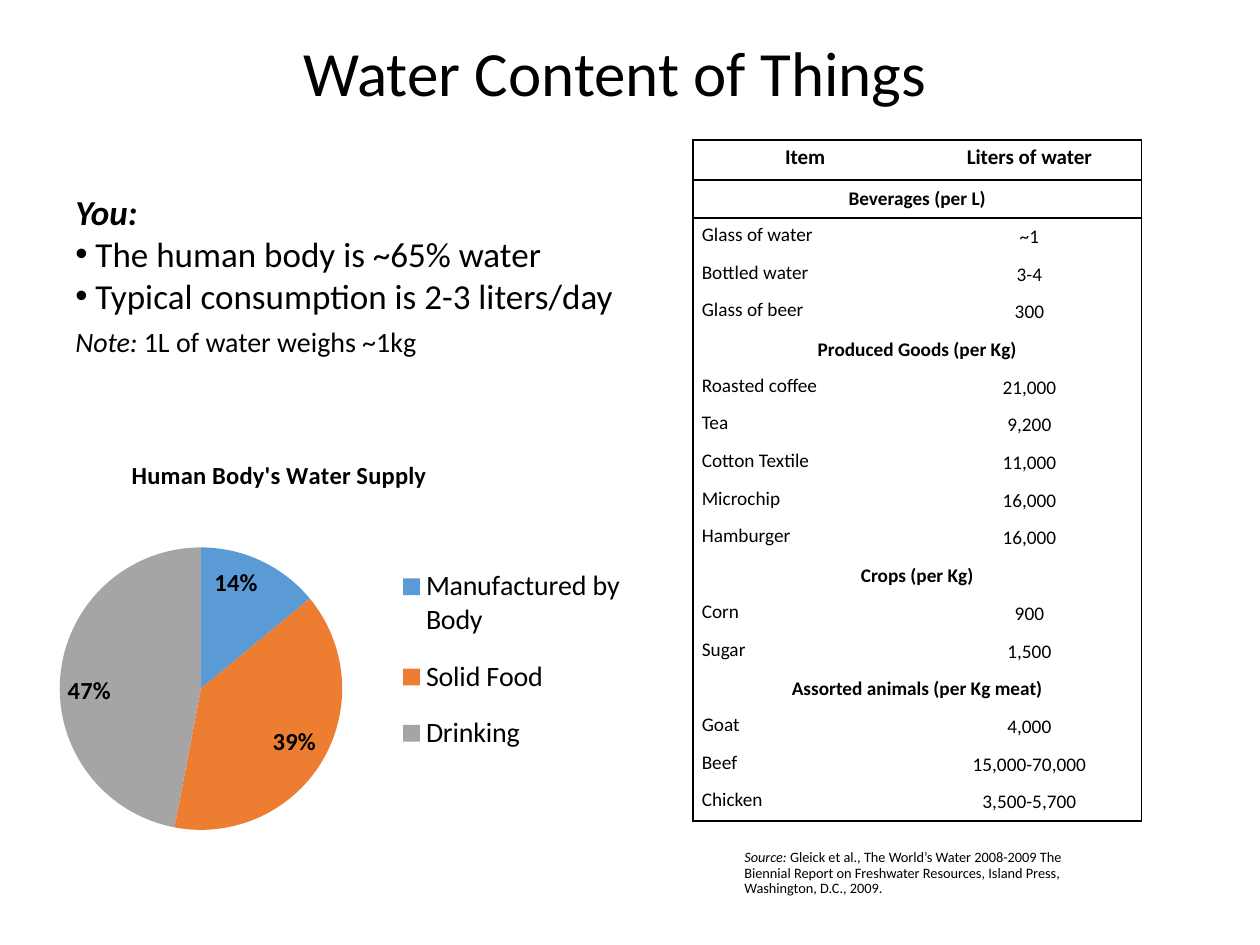
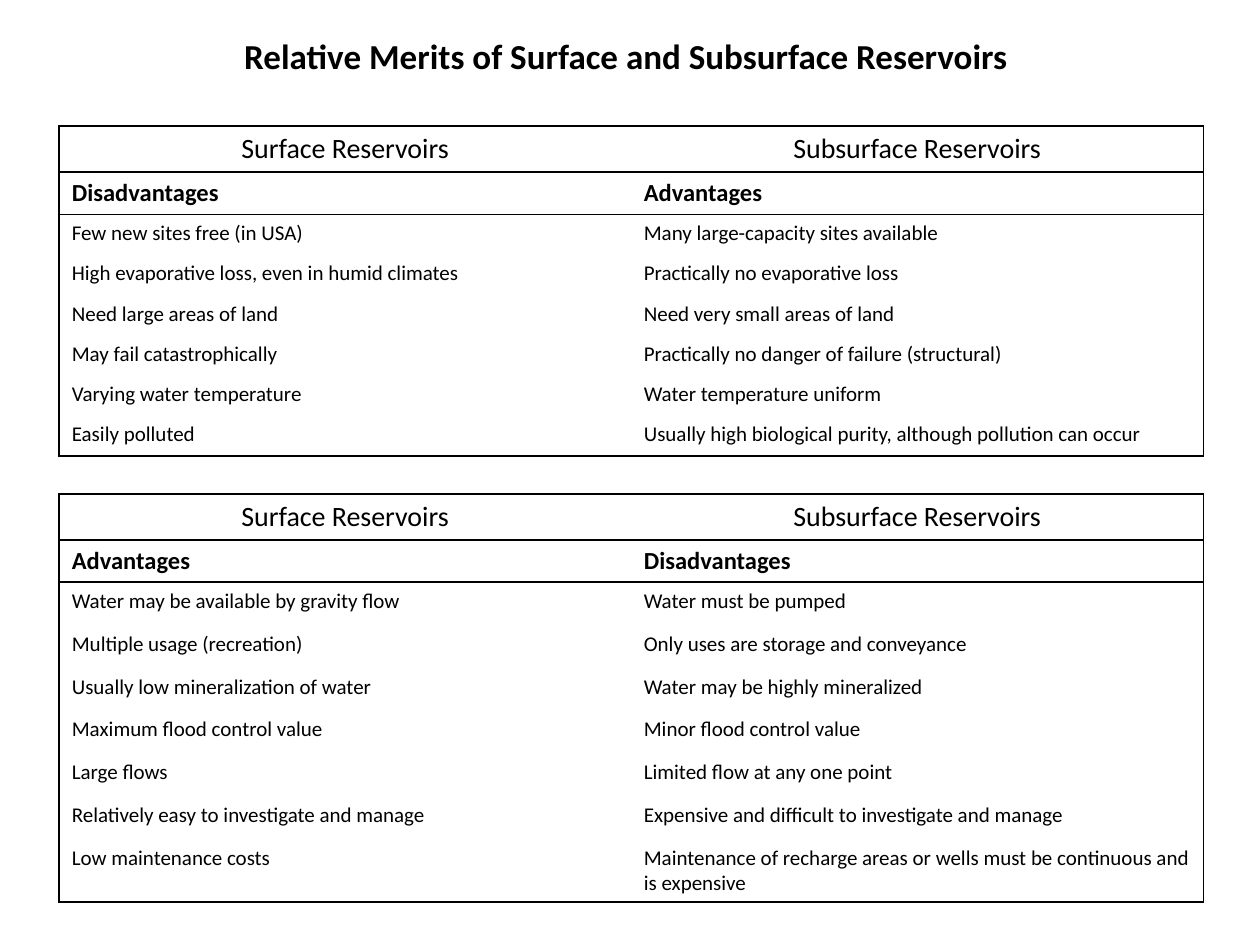
from lxml import etree
from pptx import Presentation
from pptx.chart.data import CategoryChartData
from pptx.dml.color import RGBColor
from pptx.enum.chart import XL_CHART_TYPE as ChartType
from pptx.enum.chart import XL_LABEL_POSITION as LabelPos
from pptx.enum.chart import XL_LEGEND_POSITION as LegendPos
from pptx.enum.text import MSO_ANCHOR as Anchor
from pptx.enum.text import PP_ALIGN as Align
from pptx.oxml.ns import qn
from pptx.util import Inches, Pt

FONT, INK = "Calibri", "000000"
SLICES = ("5B9BD5", "ED7D31", "A5A5A5")
TIGHT = (0.07, 0.04)   # horizontal and vertical text inset
NORMAL = (0.1, 0.05)

# Cell looks: size, bold, alignment, anchor
ITEM_HEAD = (12, True, Align.CENTER, Anchor.TOP)
SECTION = (11, True, Align.CENTER, Anchor.MIDDLE)
ITEM = (11, False, Align.LEFT, Anchor.TOP)
AMOUNT = (11, False, Align.CENTER, Anchor.MIDDLE)
KIND = (16, False, Align.CENTER, Anchor.MIDDLE)
VERDICT = (14, True, Align.LEFT, Anchor.TOP)
MERIT = (12, False, Align.LEFT, Anchor.TOP)

WATER_USE = [
    ("Beverages (per L)",),
    ("Glass of water", "~1"), ("Bottled water", "3-4"), ("Glass of beer", "300"),
    ("Produced Goods (per Kg)",),
    ("Roasted coffee", "21,000"), ("Tea", "9,200"), ("Cotton Textile", "11,000"),
    ("Microchip", "16,000"), ("Hamburger", "16,000"),
    ("Crops (per Kg)",),
    ("Corn", "900"), ("Sugar", "1,500"),
    ("Assorted animals (per Kg meat)",),
    ("Goat", "4,000"), ("Beef", "15,000-70,000"), ("Chicken", "3,500-5,700"),
]
SURFACE_WEAK = [
    ("Disadvantages", "Advantages"),
    ("Few new sites free (in USA)", "Many large-capacity sites available"),
    ("High evaporative loss, even in humid climates", "Practically no evaporative loss"),
    ("Need large areas of land", "Need very small areas of land"),
    ("May fail catastrophically", "Practically no danger of failure (structural)"),
    ("Varying water temperature", "Water temperature uniform"),
    ("Easily polluted", "Usually high biological purity, although pollution can occur"),
]
SURFACE_STRONG = [
    ("Advantages", "Disadvantages"),
    ("Water may be available by gravity flow", "Water must be pumped"),
    ("Multiple usage (recreation)", "Only uses are storage and conveyance"),
    ("Usually low mineralization of water", "Water may be highly mineralized"),
    ("Maximum flood control value", "Minor flood control value"),
    ("Large flows", "Limited flow at any one point"),
    ("Relatively easy to investigate and manage",
     "Expensive and difficult to investigate and manage"),
    ("Low maintenance costs",
     "Maintenance of recharge areas or wells must be continuous and is expensive"),
]


def rgb(color):
    return RGBColor.from_string(color)


def set_font(font, size, bold=False, italic=False):
    font.name, font.size, font.bold, font.italic = FONT, Pt(size), bold, italic
    font.color.rgb = rgb(INK)


def set_borders(cell, visible):
    """Draw the edges named in visible and clear the others."""
    properties = cell._tc.get_or_add_tcPr()
    for index, edge in enumerate("LRTB"):
        line = etree.Element(qn("a:ln" + edge), w=str(Pt(1)))
        if edge in visible:
            fill = etree.SubElement(line, qn("a:solidFill"))
            etree.SubElement(fill, qn("a:srgbClr"), val=INK)
        else:
            etree.SubElement(line, qn("a:noFill"))
        properties.insert(index, line)


def place(element, index, **fractions):
    """Give a chart part a fixed place, in fractions of the chart."""
    for old in element.findall(qn("c:layout")):
        element.remove(old)
    layout = etree.Element(qn("c:layout"))
    manual = etree.SubElement(layout, qn("c:manualLayout"))
    if "plotArea" in element.tag:
        etree.SubElement(manual, qn("c:layoutTarget"), val="inner")
    for axis in "xy":
        etree.SubElement(manual, qn(f"c:{axis}Mode"), val="edge")
    for side, value in fractions.items():
        etree.SubElement(manual, qn("c:" + side), val=str(value))
    element.insert(index, layout)


class Deck:
    def __init__(self):
        self.prs = Presentation()
        self.prs.slide_width, self.prs.slide_height = Inches(10), Inches(7.5)
        self.slide = None

    def new_slide(self):
        self.slide = self.prs.slides.add_slide(self.prs.slide_layouts[6])

    def text(self, at, paragraphs, size, align=Align.LEFT, anchor=Anchor.TOP,
             inset=NORMAL, spacing=1.0):
        """Each paragraph is (bulleted, [(text, bold, italic), ...])."""
        frame = self.slide.shapes.add_textbox(*map(Inches, at)).text_frame
        frame.word_wrap = True
        frame.vertical_anchor = anchor
        frame.margin_left = frame.margin_right = Inches(inset[0])
        frame.margin_top = frame.margin_bottom = Inches(inset[1])
        for index, (bulleted, runs) in enumerate(paragraphs):
            paragraph = frame.add_paragraph() if index else frame.paragraphs[0]
            paragraph.alignment, paragraph.line_spacing = align, spacing
            if bulleted:
                properties = paragraph._p.get_or_add_pPr()
                properties.set("marL", str(Inches(0.16)))
                properties.set("indent", str(-Inches(0.16)))
                etree.SubElement(properties, qn("a:buFont"), typeface="Arial")
                etree.SubElement(properties, qn("a:buChar"), char="•")
            for words, bold, italic in runs:
                run = paragraph.add_run()
                run.text = words
                set_font(run.font, size, bold, italic)

    def table(self, left, top, column, heights, rows, looks, inset=NORMAL):
        """Two-column table with a frame and a rule under its first two rows."""
        table = self.slide.shapes.add_table(
            len(rows), 2, Inches(left), Inches(top),
            Inches(2 * column), Inches(sum(heights))).table
        table.first_row = table.horz_banding = False
        for r, (texts, height) in enumerate(zip(rows, heights)):
            table.rows[r].height = Inches(height)
            rules = ("T" if r < 3 else "") + ("B" if r < 2 or r == len(rows) - 1 else "")
            for c in range(2):
                cell = table.cell(r, c)
                cell.margin_left = cell.margin_right = Inches(inset[0])
                cell.margin_top = cell.margin_bottom = Inches(inset[1])
                cell.fill.background()
                spanning = len(texts) == 1
                set_borders(cell, rules + ("LR" if spanning else "LR"[c]))
                if c < len(texts):
                    self.fill_cell(cell, texts[c], looks(r, c, spanning))
            if spanning:
                table.cell(r, 0).merge(table.cell(r, 1))

    def fill_cell(self, cell, words, look):
        size, bold, align, cell.vertical_anchor = look
        cell.text_frame.text = words
        paragraph = cell.text_frame.paragraphs[0]
        paragraph.alignment = align
        set_font(paragraph.runs[0].font, size, bold)

    def pie(self, at, title, shares):
        data = CategoryChartData()
        data.categories = list(shares)
        data.add_series(title, list(shares.values()))
        chart = self.slide.shapes.add_chart(
            ChartType.PIE, *map(Inches, at), data).chart
        set_font(chart.font, 10)
        chart.has_title = True
        chart.chart_title.text_frame.text = title
        set_font(chart.chart_title.text_frame.paragraphs[0].runs[0].font, 14, True)
        place(chart.chart_title._element, 1, x=0.17, y=0.03)

        chart.has_legend = True
        chart.legend.position = LegendPos.RIGHT
        chart.legend.include_in_layout = False
        set_font(chart.legend.font, 16)
        place(chart.legend._element, 1, x=0.6, y=0.26, w=0.39, h=0.55)

        plot = chart.plots[0]
        plot.vary_by_categories = True
        place(chart._chartSpace.chart.plotArea, 0, x=0.06, y=0.26, w=0.46, h=0.69)
        for index, color in enumerate(SLICES):
            fill = plot.series[0].points[index].format.fill
            fill.solid()
            fill.fore_color.rgb = rgb(color)
        plot.has_data_labels = True
        labels = plot.data_labels
        labels.show_percentage, labels.show_value = True, False
        labels.number_format, labels.number_format_is_linked = "0%", False
        labels.position = LabelPos.INSIDE_END
        set_font(labels.font, 14, True)


def water_look(row, column, spanning):
    if row == 0:
        return ITEM_HEAD
    return SECTION if spanning else (ITEM, AMOUNT)[column]


def merits_look(row, column, spanning):
    return (KIND, VERDICT, MERIT)[min(row, 2)]


def water_content(deck):
    deck.new_slide()
    deck.text((1.44, 0.21, 6.88, 0.71),
              [(False, [("Water Content of Things", False, False)])],
              36, Align.CENTER, Anchor.MIDDLE, TIGHT)
    # Water needed per item, with its source
    rows = [("Item", "Liters of water")] + WATER_USE
    deck.table(5.5, 1.11, 1.78, [0.32] + [5.09 / len(WATER_USE)] * len(WATER_USE),
               rows, water_look, TIGHT)
    deck.text((5.81, 6.7, 3.06, 0.56), [(False, [
        ("Source: ", False, True),
        ("Gleick et al., The World’s Water 2008-2009 The Biennial Report on Freshwater "
         "Resources, Island Press, Washington, D.C., 2009.", False, False)])],
        8.2, spacing=0.9)
    # The human body
    deck.text((0.5, 2.53, 3, 0.37), [(False, [
        ("Note:", False, True), (" 1L of water weighs ~1kg", False, False)])], 16)
    deck.text((0.5, 1.46, 5, 1.11), [
        (False, [("You:", True, True)]),
        (True, [("The human body is ~65% water", False, False)]),
        (True, [("Typical consumption is 2-3 liters/day", False, False)])], 20)
    deck.pie((0.18, 3.5, 4.88, 3.25), "Human Body's Water Supply",
             {"Manufactured by Body": 14, "Solid Food": 39, "Drinking": 47})


def reservoir_merits(deck):
    deck.new_slide()
    deck.text((1.84, 0.24, 9, 0.45), [(False, [
        ("Relative Merits of Surface and Subsurface Reservoirs", True, False)])],
        20, anchor=Anchor.MIDDLE, spacing=0.9)
    # One table for each side of the comparison
    for top, row_height, merits in ((1, 0.32, SURFACE_WEAK), (3.92, 0.34, SURFACE_STRONG)):
        rows = [("Surface Reservoirs", "Subsurface Reservoirs")] + merits
        heights = [0.34, 0.31] + [row_height] * (len(rows) - 2)
        deck.table(0.47, top, 4.54, heights, rows, merits_look)


def main():
    deck = Deck()
    water_content(deck)
    reservoir_merits(deck)
    deck.prs.save("out.pptx")


if __name__ == "__main__":
    main()
